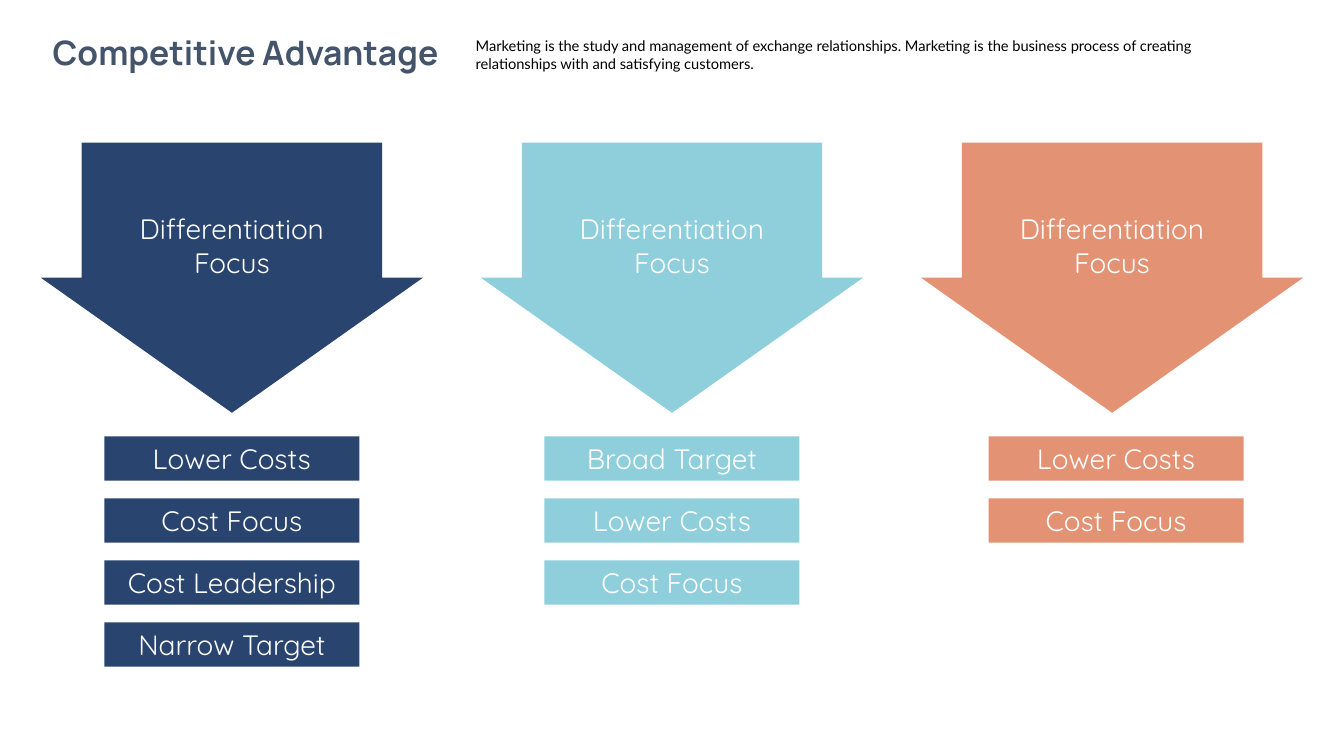
import pptx
import pptx.util
from pptx.dml.color import RGBColor
from pptx.enum.shapes import MSO_SHAPE
from pptx.enum.text import MSO_ANCHOR, MSO_AUTO_SIZE, PP_ALIGN
from pptx.util import Inches

SLATE = RGBColor(0x44, 0x54, 0x6A)
BLACK = RGBColor(0, 0, 0)
WHITE = RGBColor(0xFF, 0xFF, 0xFF)
NAVY = RGBColor(0x29, 0x44, 0x6F)
AQUA = RGBColor(0x8F, 0xCF, 0xDC)
CORAL = RGBColor(0xE3, 0x92, 0x74)

TITLE = "Competitive Advantage"
INTRO = (
    "Marketing is the study and management of exchange relationships. "
    "Marketing is the business process of creating relationships with "
    "and satisfying customers."
)
# Heading, colour, bar offset from the arrow's axis, bar labels
STRATEGIES = [
    ("Differentiation Focus", NAVY, 0,
     ["Lower Costs", "Cost Focus", "Cost Leadership", "Narrow Target"]),
    ("Differentiation Focus", AQUA, 0,
     ["Broad Target", "Lower Costs", "Cost Focus"]),
    ("Differentiation Focus", CORAL, 0.04,
     ["Lower Costs", "Cost Focus"]),
]

TITLE_FONT = {"name": "Manrope", "size": pptx.util.Pt(24), "bold": True}
INTRO_FONT = {"name": "Lato", "size": pptx.util.Pt(10.5)}
LABEL_FONT = {"name": "Quicksand", "size": pptx.util.Pt(20)}

FIRST_AXIS, COLUMN_PITCH = 2.3, 4.365
ARROW_LENGTH, ARROW_SPAN, ARROW_TOP = 2.68, 3.79, 0.86
HEADING_WIDTH, HEADING_HEIGHT, HEADING_TOP = 2.37, 0.77, 2.05
BAR_WIDTH, BAR_HEIGHT = 2.53, 0.44
FIRST_BAR_TOP, BAR_PITCH = 4.33, 0.615


def write(holder, text, font, color, align=PP_ALIGN.CENTER, wrap=True,
          anchor=MSO_ANCHOR.TOP):
    frame = holder.text_frame
    frame.text = text
    frame.word_wrap = wrap
    frame.auto_size = MSO_AUTO_SIZE.SHAPE_TO_FIT_TEXT
    frame.vertical_anchor = anchor
    paragraph = frame.paragraphs[0]
    paragraph.alignment = align
    run_font = paragraph.runs[0].font
    for attribute, value in font.items():
        setattr(run_font, attribute, value)
    run_font.color.rgb = color


def add_block(slide, preset, box, color):
    """Add a flat, borderless preset shape."""
    block = slide.shapes.add_shape(preset, *map(Inches, box))
    block.shadow.inherit = False
    block.fill.solid()
    block.fill.fore_color.rgb = color
    block.line.fill.background()
    return block


def add_strategy(slide, axis, heading, color, bar_offset, bar_labels):
    arrow = add_block(
        slide, MSO_SHAPE.RIGHT_ARROW,
        (axis - ARROW_LENGTH / 2, ARROW_TOP, ARROW_LENGTH, ARROW_SPAN), color)
    arrow.rotation = 90
    arrow.adjustments[0] = 0.786
    arrow.adjustments[1] = 0.5

    heading_box = (axis - HEADING_WIDTH / 2, HEADING_TOP,
                   HEADING_WIDTH, HEADING_HEIGHT)
    write(slide.shapes.add_textbox(*map(Inches, heading_box)),
          heading, LABEL_FONT, WHITE)

    bar_left = axis + bar_offset - BAR_WIDTH / 2
    for row, label in enumerate(bar_labels):
        bar = add_block(
            slide, MSO_SHAPE.RECTANGLE,
            (bar_left, FIRST_BAR_TOP + row * BAR_PITCH, BAR_WIDTH, BAR_HEIGHT),
            color)
        write(bar, label, LABEL_FONT, WHITE, anchor=MSO_ANCHOR.MIDDLE)


def main():
    deck = pptx.Presentation()
    deck.slide_width, deck.slide_height = Inches(13.33), Inches(7.5)
    slide = deck.slides.add_slide(deck.slide_layouts[6])

    title = slide.shapes.add_textbox(*map(Inches, (0.25, 0.27, 4.37, 0.5)))
    write(title, TITLE, TITLE_FONT, SLATE, wrap=False)
    intro = slide.shapes.add_textbox(*map(Inches, (4.62, 0.32, 7.72, 0.45)))
    write(intro, INTRO, INTRO_FONT, BLACK, align=PP_ALIGN.LEFT)

    for column, strategy in enumerate(STRATEGIES):
        add_strategy(slide, FIRST_AXIS + column * COLUMN_PITCH, *strategy)

    deck.save("out.pptx")


if __name__ == "__main__":
    main()
